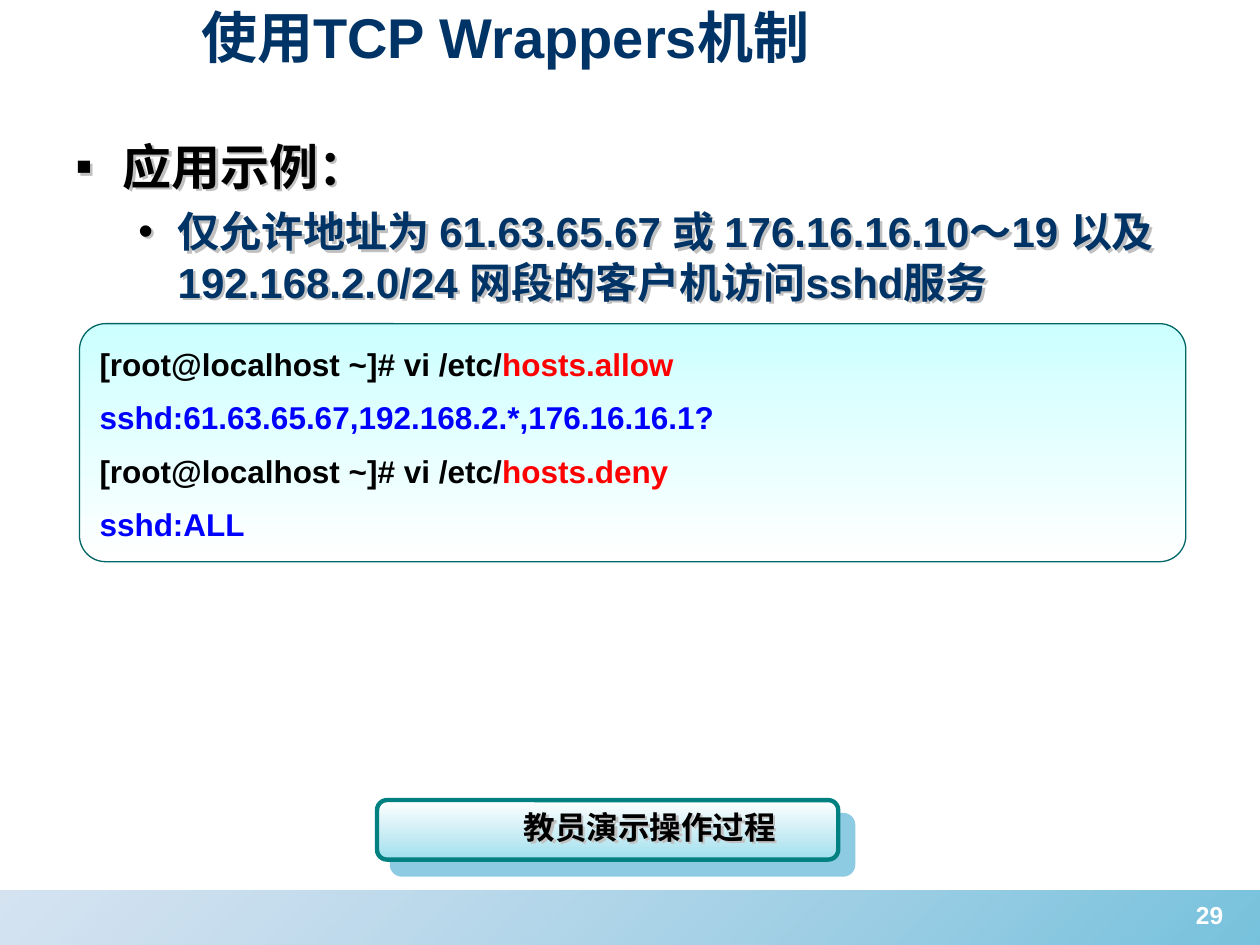
"""Build the TCP Wrappers example slide with its sample configuration."""
from lxml import etree
from pptx import Presentation
from pptx.dml.color import RGBColor
from pptx.enum.shapes import MSO_SHAPE
from pptx.enum.text import MSO_ANCHOR, PP_ALIGN
from pptx.oxml.ns import qn
from pptx.util import Pt

RECTANGLE = MSO_SHAPE.RECTANGLE
ROUNDED = MSO_SHAPE.ROUNDED_RECTANGLE
PROCESS = MSO_SHAPE.FLOWCHART_ALTERNATE_PROCESS
TOP, MIDDLE = MSO_ANCHOR.TOP, MSO_ANCHOR.MIDDLE
LEFT, CENTER = PP_ALIGN.LEFT, PP_ALIGN.CENTER

NAVY = RGBColor(0x00, 0x33, 0x66)
BLACK = RGBColor(0x00, 0x00, 0x00)
WHITE = RGBColor(0xFF, 0xFF, 0xFF)
RED = RGBColor(0xFF, 0x00, 0x00)
BLUE = RGBColor(0x00, 0x00, 0xFF)
TEAL = RGBColor(0x00, 0x80, 0x80)
DARK_TEAL = RGBColor(0x00, 0x66, 0x66)
PALE_CYAN = RGBColor(0xCC, 0xFF, 0xFF)
PALE_BLUE = RGBColor(0xA1, 0xDF, 0xED)
FOOTER_BLUE = RGBColor(0x1C, 0x99, 0xC6)
FOOTER_GREY = RGBColor(0x88, 0xB0, 0xD8)
SHADOW_GREY = RGBColor(0xC0, 0xC0, 0xC0)


def add_run(paragraph, text, size, color):
    run = paragraph.add_run()
    run.text = text
    formats = {"name": "Arial", "size": Pt(size), "bold": True}
    for name, value in formats.items():
        setattr(run.font, name, value)
    run.font.color.rgb = color


def add_shadow(shape, color, distance, opacity):
    shape.shadow.inherit = False
    effects = shape._element.spPr.find(qn("a:effectLst"))
    shadow = etree.SubElement(effects, qn("a:outerShdw"), blurRad="0",
                              dist=str(Pt(distance)), dir="2700000", algn="tl", rotWithShape="0")
    shade = etree.SubElement(shadow, qn("a:srgbClr"), val=str(color))
    etree.SubElement(shade, qn("a:alpha"), val=str(opacity * 1000))


presentation = Presentation()
presentation.slide_width, presentation.slide_height = Pt(720), Pt(540)
slide = presentation.slides.add_slide(presentation.slide_layouts[5])

panels = {}
for name, kind, box, colors, angle, line in [
    ("footer", RECTANGLE, (0, 509, 720, 31), (FOOTER_BLUE, FOOTER_GREY), 135, None),
    ("code", ROUNDED, (45.4, 185, 632.2, 136), (PALE_CYAN, WHITE), 270, (DARK_TEAL, 0.75)),
    ("button", PROCESS, (215.5, 457.2, 263.5, 34), (WHITE, PALE_BLUE), 270, (TEAL, 2.5)),
]:
    shape = slide.shapes.add_shape(kind, *map(Pt, box))
    shape.shadow.inherit = False
    shape.fill.gradient()
    shape.fill.gradient_angle = angle
    for stop, color in zip(shape.fill.gradient_stops, colors):
        stop.color.rgb = color
    if line:
        shape.line.color.rgb, shape.line.width = line[0], Pt(line[1])
    else:
        shape.line.fill.background()
    panels[name] = shape

footer_colors = panels["footer"]._element.spPr.iter(qn("a:srgbClr"))
for color, opacity in zip(footer_colors, (60, 35)):
    etree.SubElement(color, qn("a:alpha"), val=str(opacity * 1000))
add_shadow(panels["button"], FOOTER_BLUE, 12.1, 50)

title = slide.shapes.title
title.left, title.top, title.width, title.height = map(Pt, (107.7, 0, 581, 41))
title.text_frame.vertical_anchor = MIDDLE
title.text_frame.paragraphs[0].alignment = LEFT
add_run(title.text_frame.paragraphs[0], "使用TCP Wrappers机制", 32, NAVY)

body = slide.shapes.add_textbox(Pt(36), Pt(74.4), Pt(648), Pt(110))
body.text_frame.word_wrap = True
add_shadow(body, SHADOW_GREY, 2, 100)
for index, (text, size, color, bullet, margin, indent, before) in enumerate([
    ("应用示例：", 28, BLACK, "▪", 27, -27, 0),
    ("仅允许地址为 61.63.65.67 或 176.16.16.10～19 以及 192.168.2.0/24 网段的客户机访问sshd服务",
     24, NAVY, "•", 58.5, -22.5, 6),
]):
    paragraph = body.text_frame.add_paragraph() if index else body.text_frame.paragraphs[0]
    paragraph.space_before = Pt(before)
    properties = paragraph._p.get_or_add_pPr()
    properties.set("marL", str(Pt(margin)))
    properties.set("indent", str(Pt(indent)))
    bullet_color = etree.SubElement(properties, qn("a:buClr"))
    etree.SubElement(bullet_color, qn("a:srgbClr"), val=str(BLACK))
    etree.SubElement(properties, qn("a:buFont"), typeface="Arial")
    etree.SubElement(properties, qn("a:buChar"), char=bullet)
    add_run(paragraph, text, size, color)

panels["code"].adjustments[0] = 0.11
code_frame = panels["code"].text_frame
code_frame.vertical_anchor = TOP
code_frame.word_wrap = True
prompt = ("[root@localhost ~]# vi /etc/", BLACK)
for index, runs in enumerate([
    [prompt, ("hosts.allow", RED)],
    [("sshd:61.63.65.67,192.168.2.*,176.16.16.1?", BLUE)],
    [prompt, ("hosts.deny", RED)],
    [("sshd:ALL", BLUE)],
]):
    paragraph = code_frame.add_paragraph() if index else code_frame.paragraphs[0]
    formats = {"alignment": LEFT, "line_spacing": 1.2, "space_before": Pt(4.5 if index else 0)}
    for name, value in formats.items():
        setattr(paragraph, name, value)
    for text, color in runs:
        add_run(paragraph, text, 18, color)

for text, box, size, color, shadowed in [
    ("教员演示操作过程", (290.7, 458, 161, 29), 18, BLACK, True),
    ("29", (665.3, 510.5, 51.8, 29), 14, WHITE, False),
]:
    label = slide.shapes.add_textbox(*map(Pt, box))
    label.text_frame.word_wrap = True
    label.text_frame.paragraphs[0].alignment = CENTER
    add_run(label.text_frame.paragraphs[0], text, size, color)
    if shadowed:
        add_shadow(label, SHADOW_GREY, 2, 100)

presentation.save("out.pptx")
